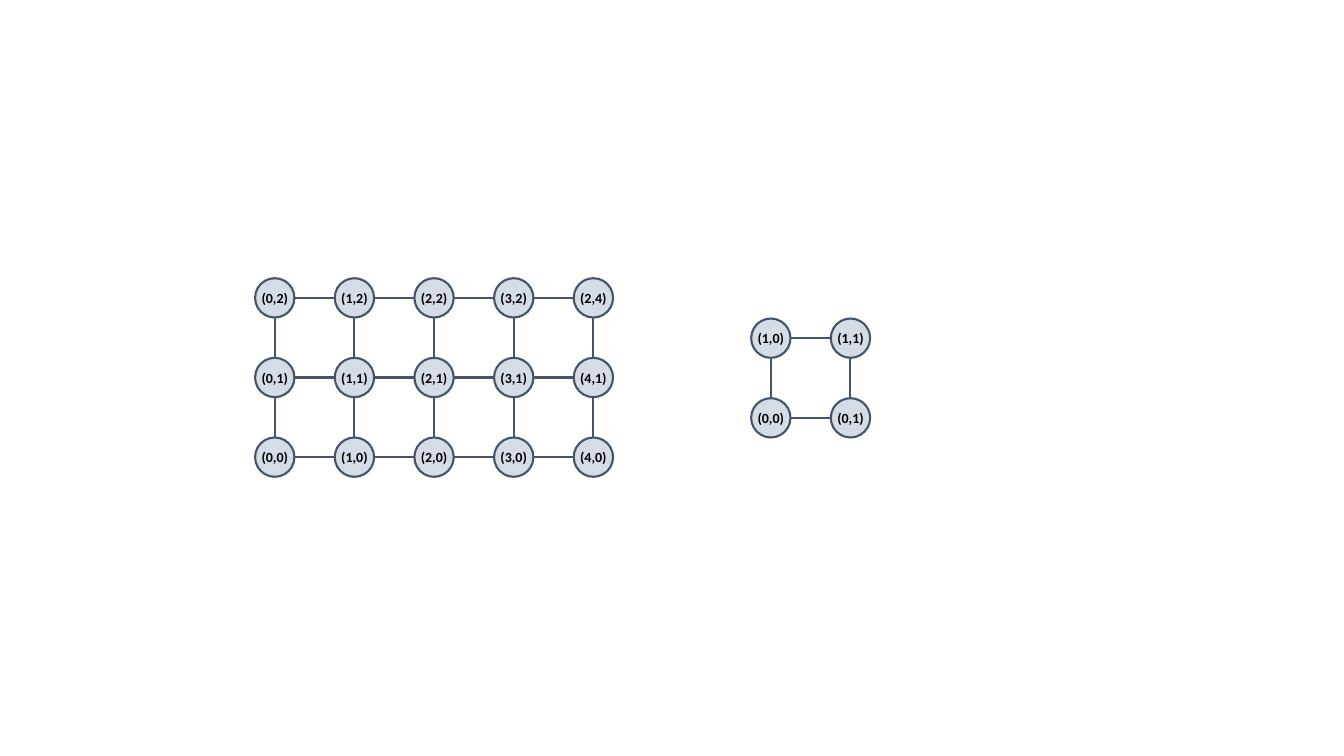
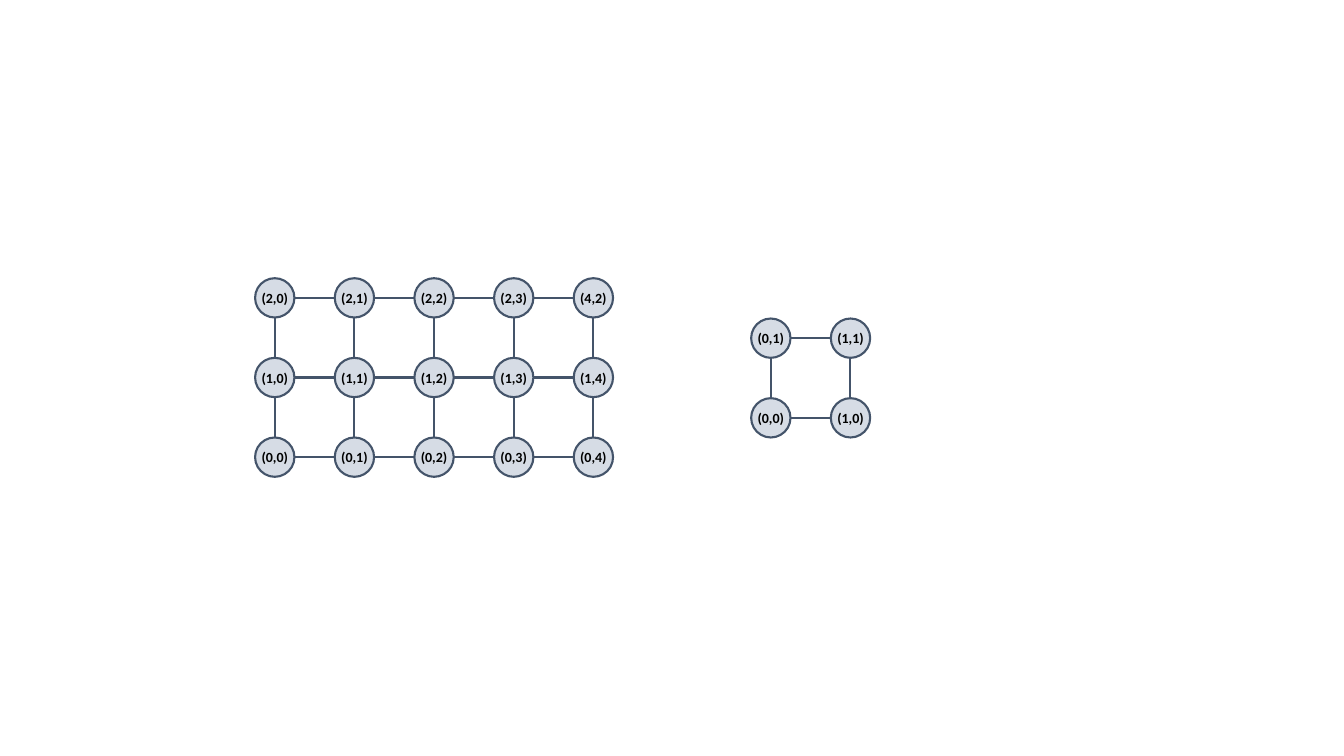
from dataclasses import dataclass

from lxml import etree
from pptx import Presentation
from pptx.dml.color import RGBColor
from pptx.enum.shapes import MSO_CONNECTOR, MSO_SHAPE
from pptx.enum.text import MSO_ANCHOR, PP_ALIGN
from pptx.oxml.ns import qn
from pptx.util import Inches, Pt

STRAIGHT = MSO_CONNECTOR.STRAIGHT
ELLIPSE = MSO_SHAPE.OVAL
MIDDLE = MSO_ANCHOR.MIDDLE
CENTER = PP_ALIGN.CENTER
BLANK_LAYOUT = 6


@dataclass(frozen=True)
class Theme:
    node_fill: RGBColor = RGBColor(0xD6, 0xDC, 0xE5)
    outline: RGBColor = RGBColor(0x44, 0x54, 0x6A)
    text: RGBColor = RGBColor(0, 0, 0)
    font: str = "Calibri"
    label_size: Pt = Pt(10)
    line_width: Pt = Pt(1.5)
    diameter: float = 0.39
    pitch: float = 0.79


@dataclass(frozen=True)
class Grid:
    """A lattice of nodes; left and top locate its upper left node."""
    left: float
    top: float
    columns: int
    rows: int


THEME = Theme()
MESH = Grid(left=2.53, top=2.76, columns=5, rows=3)
SQUARE = Grid(left=7.45, top=3.16, columns=2, rows=2)


def set_attributes(target, values):
    for name, value in values.items():
        setattr(target, name, value)


def style_line(line):
    line.color.rgb = THEME.outline
    line.width = THEME.line_width


def add_edge(shapes, start, end):
    edge = shapes.add_connector(STRAIGHT, *map(Inches, start + end))
    style_line(edge.line)
    properties = edge._element.find(qn("a:spPr")) or edge._element.spPr
    etree.SubElement(properties, qn("a:effectLst"))


def add_node(shapes, left, top, label):
    size = Inches(THEME.diameter)
    node = shapes.add_shape(ELLIPSE, Inches(left), Inches(top), size, size)
    node.shadow.inherit = False
    node.fill.solid()
    node.fill.fore_color.rgb = THEME.node_fill
    style_line(node.line)
    frame = node.text_frame
    set_attributes(frame, {
        "margin_left": 0, "margin_top": 0, "margin_right": 0,
        "margin_bottom": 0, "vertical_anchor": MIDDLE, "word_wrap": False,
    })
    paragraph = frame.paragraphs[0]
    paragraph.alignment = CENTER
    run = paragraph.add_run()
    run.text = label
    set_attributes(run.font, {
        "name": THEME.font, "size": THEME.label_size, "bold": True})
    run.font.color.rgb = THEME.text


def add_grid(slide, grid, row_first, exceptions=None):
    """Label nodes (column,row), or (row,column) if row_first, from bottom left."""
    exceptions = exceptions or {}
    shapes = slide.shapes.add_group_shape().shapes
    lefts = [grid.left + THEME.pitch * column for column in range(grid.columns)]
    tops = [grid.top + THEME.pitch * (grid.rows - 1 - row)
            for row in range(grid.rows)]
    radius = THEME.diameter / 2

    # Edges lie behind the nodes and run between the outermost ones
    for top in reversed(tops):
        add_edge(shapes, (lefts[0] + THEME.diameter, top + radius),
                 (lefts[-1], top + radius))
    for left in lefts:
        add_edge(shapes, (left + radius, tops[0]),
                 (left + radius, tops[-1] + THEME.diameter))

    # Nodes
    for row, top in enumerate(tops):
        for column, left in enumerate(lefts):
            first, second = (row, column) if row_first else (column, row)
            label = exceptions.get((column, row), f"({first},{second})")
            add_node(shapes, left, top, label)


def add_grid_slide(presentation, mesh_row_first, corner_label):
    slide = presentation.slides.add_slide(
        presentation.slide_layouts[BLANK_LAYOUT])
    corner = (MESH.columns - 1, MESH.rows - 1)
    add_grid(slide, MESH, mesh_row_first, {corner: corner_label})
    add_grid(slide, SQUARE, not mesh_row_first)


def main():
    presentation = Presentation()
    presentation.slide_width = Inches(13.33)
    presentation.slide_height = Inches(7.5)
    add_grid_slide(presentation, mesh_row_first=False, corner_label="(2,4)")
    add_grid_slide(presentation, mesh_row_first=True, corner_label="(4,2)")
    presentation.save("out.pptx")


if __name__ == "__main__":
    main()
